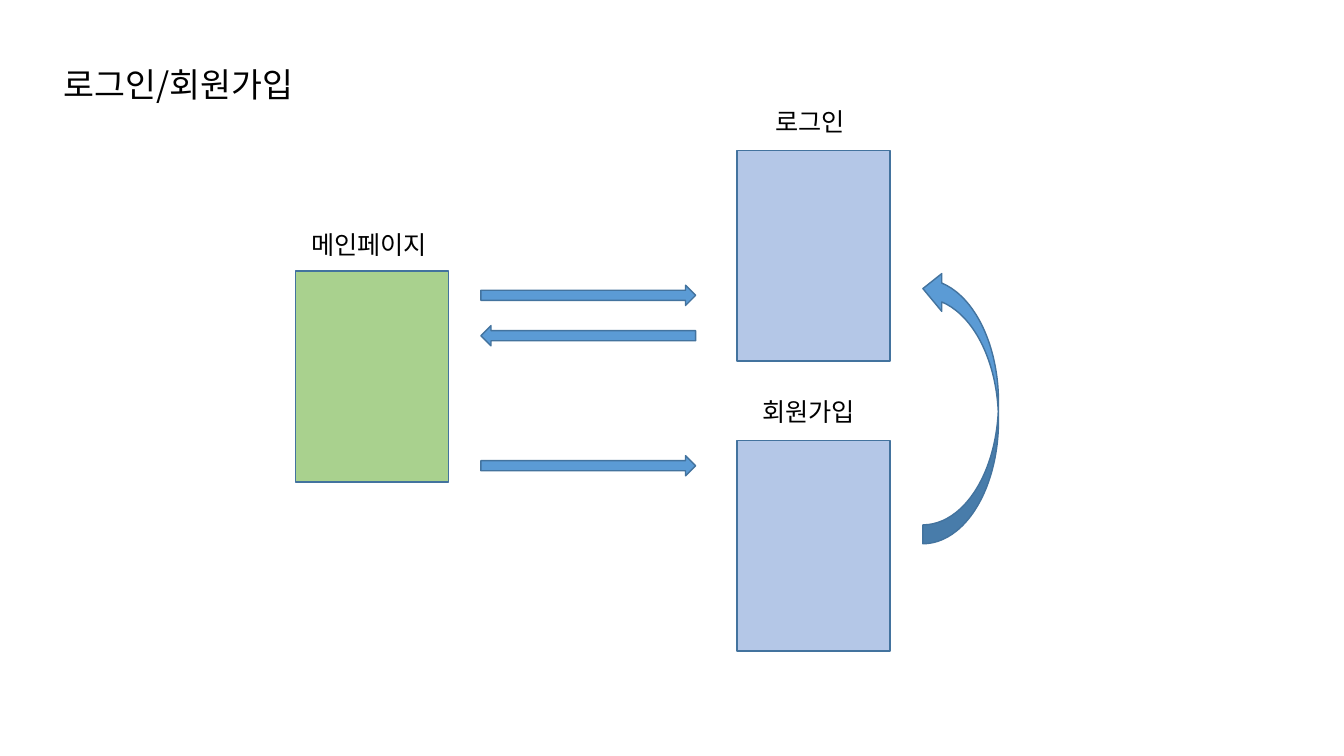
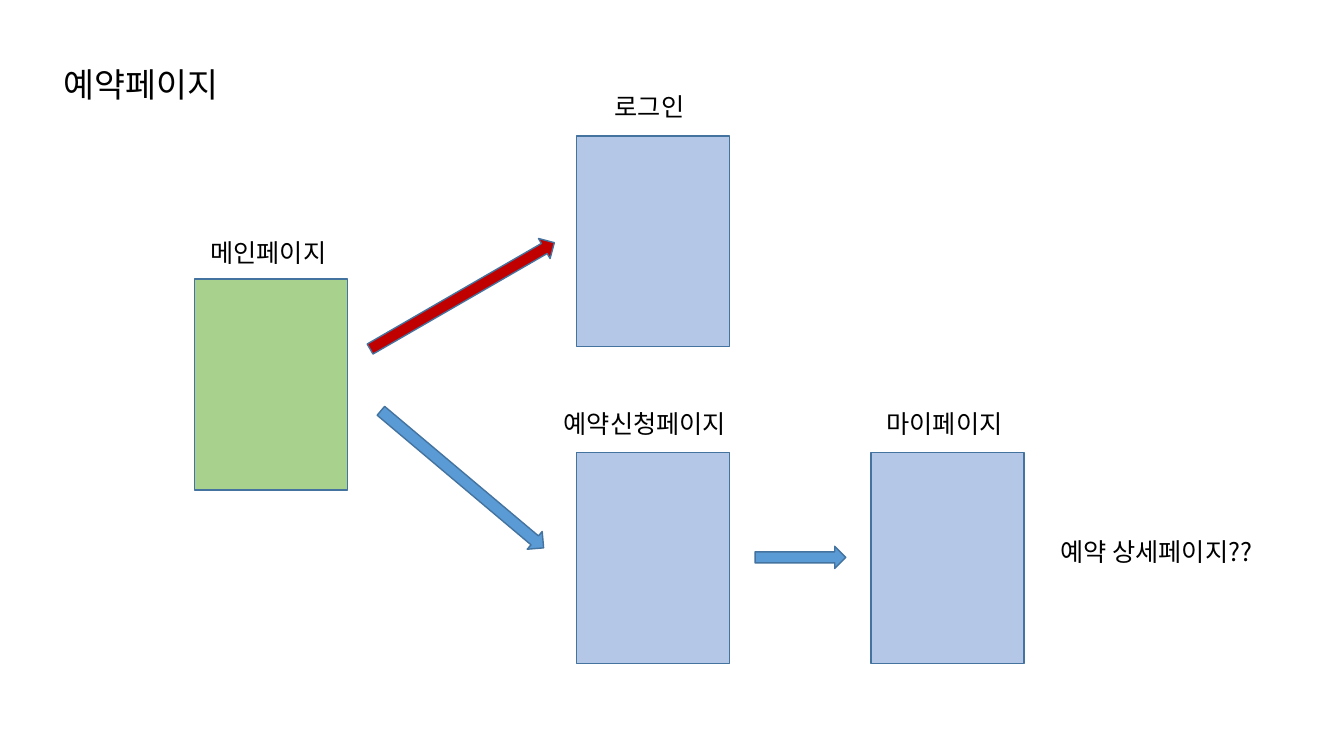
import pptx
import pptx.util
import pptx.dml.color
import pptx.enum.shapes
import pptx.enum.text
import pptx.oxml.ns

RGBColor = pptx.dml.color.RGBColor
Shape = pptx.enum.shapes.MSO_SHAPE

BLACK = RGBColor(0x00, 0x00, 0x00)
OUTLINE = RGBColor(0x43, 0x73, 0x9E)
MAIN_GREEN = RGBColor(0xA9, 0xD1, 0x8E)
PAGE_BLUE = RGBColor(0xB4, 0xC7, 0xE7)
ARROW_BLUE = RGBColor(0x5B, 0x9B, 0xD5)
ARROW_RED = RGBColor(0xC0, 0x00, 0x00)

FONT = "Noto Sans CJK KR"
SLIDE_WIDTH = pptx.util.Inches(13.33)
SLIDE_HEIGHT = pptx.util.Inches(7.5)

# All positions and sizes below are percentages of the slide's width and height.
PAGE_WIDTH, PAGE_HEIGHT = 11.4, 27.87
LABEL_HEIGHT, TITLE_HEIGHT = 5.33, 6.67
LABEL_PADDING, GLYPH_WIDTH = 1.5, 1.9
LABEL_RISE, MAIN_LABEL_RISE = 6.53, 6.2
FIVE_GLYPH_SHIFT = 0.23


def to_lengths(box):
    """Turn left, top, width and height in percent into slide lengths."""
    left, top, width, height = box
    return (int(SLIDE_WIDTH * left / 100), int(SLIDE_HEIGHT * top / 100),
            int(SLIDE_WIDTH * width / 100), int(SLIDE_HEIGHT * height / 100))


def add_text(slide, box, text, size=18):
    frame = slide.shapes.add_textbox(*to_lengths(box)).text_frame
    frame.word_wrap = False
    frame.auto_size = pptx.enum.text.MSO_AUTO_SIZE.SHAPE_TO_FIT_TEXT
    span = frame.paragraphs[0].add_run()
    span.text = text
    span.font.size = pptx.util.Pt(size)
    span.font.name = FONT
    span.font.color.rgb = BLACK
    east_asian = span.font._element.makeelement(
        pptx.oxml.ns.qn("a:ea"), {"typeface": FONT})
    span.font._element.append(east_asian)


def add_outlined_shape(slide, kind, box, fill, rotation=0):
    shape = slide.shapes.add_shape(kind, *to_lengths(box))
    shape.shadow.inherit = False
    shape.fill.solid()
    shape.fill.fore_color.rgb = fill
    shape.line.color.rgb = OUTLINE
    shape.line.width = pptx.util.Pt(1)
    shape.rotation = rotation


def add_page(slide, left, top, name, fill=PAGE_BLUE, rise=LABEL_RISE):
    """Draw one page of the site with its name centred above it."""
    add_outlined_shape(slide, Shape.RECTANGLE,
                       (left, top, PAGE_WIDTH, PAGE_HEIGHT), fill)
    label_width = LABEL_PADDING + GLYPH_WIDTH * len(name)
    label_left = left + (PAGE_WIDTH - label_width) / 2
    if len(name) == 5:
        label_left += FIVE_GLYPH_SHIFT
    add_text(slide, (label_left, top - rise, label_width, LABEL_HEIGHT), name)


def add_main_page(slide, left, top):
    add_page(slide, left, top, "메인페이지", MAIN_GREEN, MAIN_LABEL_RISE)


def add_arrow(slide, box, rotation=0, fill=ARROW_BLUE):
    add_outlined_shape(slide, Shape.RIGHT_ARROW, box, fill, rotation)


def add_titled_slide(deck, title, title_width):
    slide = deck.slides.add_slide(deck.slide_layouts[6])
    add_text(slide, (3.98, 7.73, title_width, TITLE_HEIGHT), title, size=24)
    return slide


def build_login_slide(deck):
    slide = add_titled_slide(deck, "로그인/회원가입", 20.18)
    add_main_page(slide, 21.98, 35.87)
    for top, name in ((19.87, "로그인"), (58.27, "회원가입")):
        add_page(slide, 54.83, top, name)
    for top, rotation in ((37.73, 0), (43.07, 180), (60.27, 0)):
        add_arrow(slide, (35.78, top, 15.98, 2.67), rotation)
    add_outlined_shape(slide, Shape.CURVED_UP_ARROW,
                       (61.28, 48.8, 20.4, 10), ARROW_BLUE, 270)


def build_reservation_slide(deck):
    slide = add_titled_slide(deck, "예약페이지", 14.1)
    add_main_page(slide, 14.48, 36.93)
    middle, right, lower = 42.9, 64.8, 59.87
    add_page(slide, middle, 18, "로그인")
    add_page(slide, middle, lower, "예약신청페이지")
    add_page(slide, right, lower, "마이페이지")
    for top, rotation, fill in ((37.6, 330, ARROW_RED), (61.87, 40.1, ARROW_BLUE)):
        add_arrow(slide, (26.48, top, 15.83, 3.07), rotation, fill)
    add_arrow(slide, (56.18, 72.27, 6.75, 2.93))
    add_text(slide, (78.15, 70.27, 17.18, LABEL_HEIGHT), "예약 상세페이지??")


def main():
    deck = pptx.Presentation()
    deck.slide_width = SLIDE_WIDTH
    deck.slide_height = SLIDE_HEIGHT
    build_login_slide(deck)
    build_reservation_slide(deck)
    deck.save("out.pptx")


if __name__ == "__main__":
    main()
